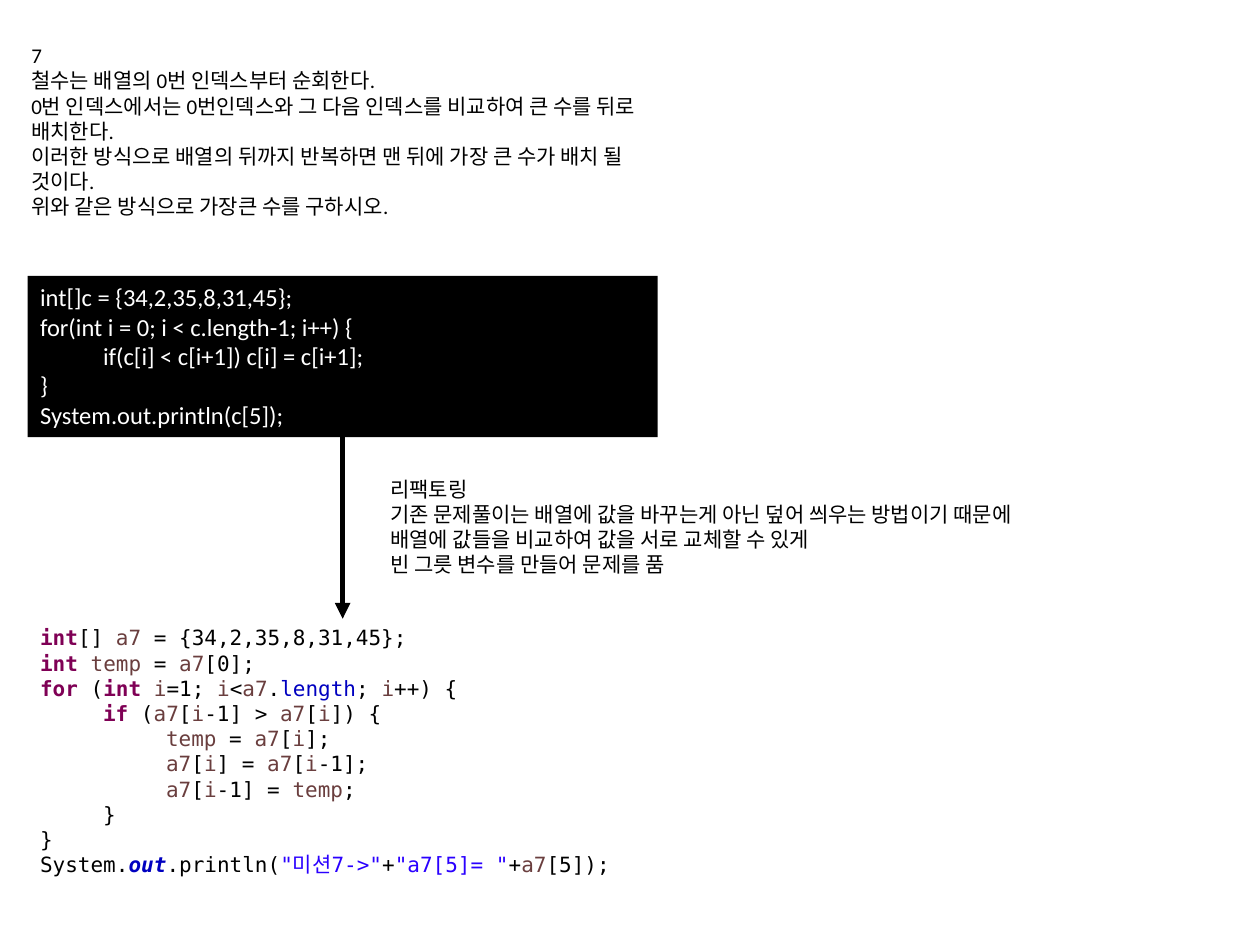
from dataclasses import dataclass
from itertools import groupby

from lxml.etree import SubElement
from pptx import Presentation
from pptx.dml.color import RGBColor
from pptx.enum.shapes import MSO_CONNECTOR, MSO_SHAPE
from pptx.enum.text import MSO_ANCHOR, MSO_AUTO_SIZE, PP_ALIGN
from pptx.oxml.ns import qn
from pptx.util import Inches, Pt


@dataclass(frozen=True)
class Theme:
    body_font: str = "Calibri"
    code_font: str = "DejaVu Sans Mono"
    text_size: int = 12
    box_size: int = 14
    arrow_width: int = 3
    black: str = "000000"
    white: str = "FFFFFF"
    keyword: str = "7F0055"
    variable: str = "6A3E3E"
    field: str = "0000C0"
    string: str = "2A00FF"


THEME = Theme()
KEYWORDS = {"int", "for", "if"}
VARIABLES = {"a7", "temp", "i"}
FIELDS = {"length", "out"}

PROBLEM = [
    "7",
    "철수는 배열의 0번 인덱스부터 순회한다.",
    "0번 인덱스에서는 0번인덱스와 그 다음 인덱스를 비교하여 큰 수를 뒤로 배치한다.",
    "이러한 방식으로 배열의 뒤까지 반복하면 맨 뒤에 가장 큰 수가 배치 될 것이다.",
    "위와 같은 방식으로 가장큰 수를 구하시오.",
]
FIRST_CODE = [
    "int[]c = {34,2,35,8,31,45};",
    "for(int i = 0; i < c.length-1; i++) {",
    "\tif(c[i] < c[i+1]) c[i] = c[i+1];",
    "}",
    "System.out.println(c[5]);",
]
REFACTORED_CODE = [
    "int[] a7 = {34,2,35,8,31,45};",
    "int temp = a7[0];",
    "for (int i=1; i<a7.length; i++) {",
    "\tif (a7[i-1] > a7[i]) {",
    "\t\ttemp = a7[i];",
    "\t\ta7[i] = a7[i-1];",
    "\t\ta7[i-1] = temp;",
    "\t}",
    "}",
    'System.out.println("미션7->"+"a7[5]= "+a7[5]);',
]
REFACTORING_NOTE = [
    "리팩토링",
    "기존 문제풀이는 배열에 값을 바꾸는게 아닌 덮어 씌우는 방법이기 때문에",
    "배열에 값들을 비교하여 값을 서로 교체할 수 있게",
    "빈 그릇 변수를 만들어 문제를 품",
]


def rgb(color):
    return RGBColor.from_string(color)


def tokens(line):
    """Yield (text, color) pairs for one line of Java code."""
    for n, part in enumerate(line.split('"')):
        if n % 2:
            yield f'"{part}"', THEME.string
            continue
        for _, chars in groupby(part, key=str.isalnum):
            word = "".join(chars)
            if word in KEYWORDS:
                yield word, THEME.keyword
            elif word in VARIABLES:
                yield word, THEME.variable
            elif word in FIELDS:
                yield word, THEME.field
            else:
                yield word, THEME.black


def add_code_runs(p, line):
    for text, color in tokens(line):
        r = p.add_run()
        r.text = text
        r.font.color.rgb = rgb(color)
        if text in KEYWORDS or text == "out":
            r.font.bold = True
        if text == "out":
            r.font.italic = True


def fill_text(sp, lines, font, size, color, highlight=False):
    tf = sp.text_frame
    tf.word_wrap = True
    tf.auto_size = MSO_AUTO_SIZE.SHAPE_TO_FIT_TEXT
    for n, line in enumerate(lines):
        p = tf.add_paragraph() if n else tf.paragraphs[0]
        p.alignment = PP_ALIGN.LEFT
        p.font.name = font
        p.font.size = Pt(size)
        p.font.color.rgb = rgb(color)
        if highlight:
            add_code_runs(p, line)
        else:
            p.add_run().text = line


def add_note(s, box, lines):
    """Plain explanatory text."""
    sp = s.shapes.add_textbox(*map(Inches, box))
    fill_text(sp, lines, THEME.body_font, THEME.text_size, THEME.black)


def add_code_box(s, box, lines):
    """White code on a black panel."""
    sp = s.shapes.add_shape(MSO_SHAPE.RECTANGLE, *map(Inches, box))
    sp.shadow.inherit = False
    sp.fill.solid()
    sp.fill.fore_color.rgb = rgb(THEME.black)
    sp.line.fill.background()
    sp.text_frame.vertical_anchor = MSO_ANCHOR.TOP
    fill_text(sp, lines, THEME.body_font, THEME.box_size, THEME.white)
    return sp


def add_highlighted_code(s, box, lines):
    """Code coloured by syntax."""
    sp = s.shapes.add_textbox(*map(Inches, box))
    fill_text(sp, lines, THEME.code_font, THEME.text_size, THEME.black, highlight=True)
    return sp


def add_down_arrow(s, upper, lower):
    """Arrow from the bottom of one box to the top of the next."""
    line = s.shapes.add_connector(MSO_CONNECTOR.STRAIGHT, 0, 0, 0, 0)
    line.begin_connect(upper, 2)
    line.end_connect(lower, 0)
    line.line.color.rgb = rgb(THEME.black)
    line.line.width = Pt(THEME.arrow_width)
    SubElement(line.line._get_or_add_ln(), qn("a:tailEnd"), type="triangle")
    SubElement(line._element.spPr, qn("a:effectLst"))


def main():
    prs = Presentation()
    prs.slide_width, prs.slide_height = Inches(10), Inches(7.5)
    s = prs.slides.add_slide(prs.slide_layouts[6])

    # Problem statement
    add_note(s, (0.15, 0.29, 5, 1.51), PROBLEM)

    # First solution, then the refactored one
    first = add_code_box(s, (0.22, 2.19, 5, 1.28), FIRST_CODE)
    refactored = add_highlighted_code(s, (0.22, 4.91, 5, 2.12), REFACTORED_CODE)
    add_down_arrow(s, first, refactored)

    # Reason for the change
    add_note(s, (3, 3.73, 5.65, 0.91), REFACTORING_NOTE)

    prs.save("out.pptx")


if __name__ == "__main__":
    main()
